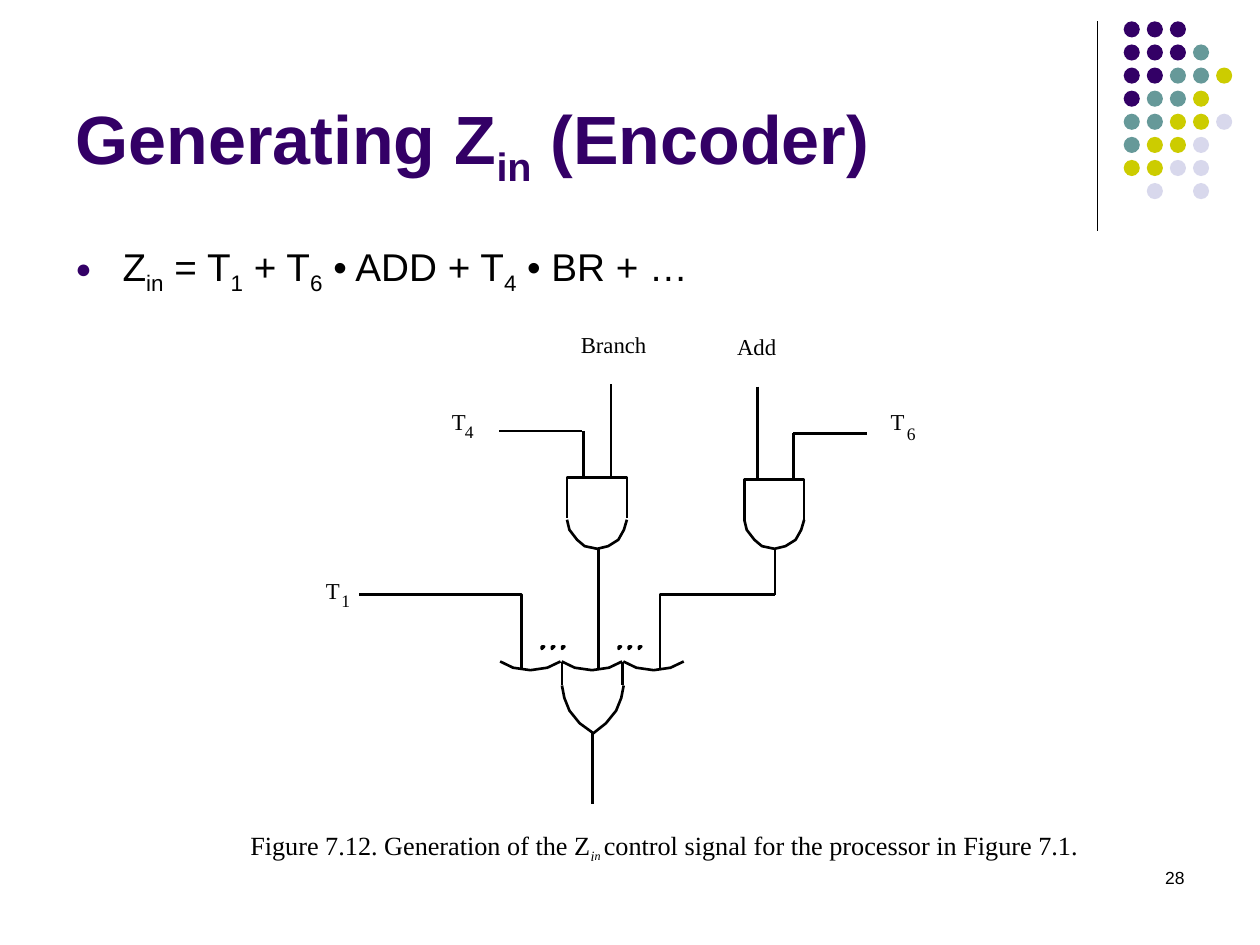
from dataclasses import dataclass

from lxml import etree
from pptx import Presentation
from pptx.dml.color import RGBColor
from pptx.enum import shapes, text
from pptx.oxml import ns
from pptx.util import Pt

INK = "000000"
PLUM = "330066"
TONES = {"P": PLUM, "T": "669999", "Y": "CCCC00", "L": "D8D8EC"}
DOTS = ["PPP", "PPPT", "PPTTY", "PTTY", "TTYYL", "TYYL", "YYLL", ".L.L"]
SERIF = "Times New Roman"
Point = tuple[float, float]


@dataclass
class Part:
    text: str
    low: bool = False
    size: float | None = None
    slant: bool = False


@dataclass
class Label:
    text: str
    left: float
    top: float
    width: float
    size: float = 13


LABELS = [
    Label("Branch", 331.9, 188.8, 42),
    Label("Add", 421.2, 190.1, 26),
    Label("T", 186.2, 329.8, 9),
    Label("1", 195.1, 337, 6, 10),
    Label("T", 258.2, 232.8, 9),
    Label("4", 265.7, 240.5, 6, 10),
    Label("T", 509, 232.8, 9),
    Label("6", 518.2, 241.9, 6, 10),
]

WIRES = [
    [(442.8, 339.8), (442.8, 313.9)],
    [(342, 383), (342, 313.9)],
    [(377.1, 383), (377.1, 339.8), (442.8, 339.8)],
    [(298.1, 383), (298.1, 339.8), (205.2, 339.8)],
    [(432.7, 221), (432.7, 274.3)],
    [(453.6, 274.3), (453.6, 247.7)],
    [(495.4, 247.7), (452.9, 247.7)],
    [(332.6, 246.2), (285.1, 246.2)],
    [(333.4, 246.2), (333.4, 272.9)],
    [(349.2, 272.9), (349.2, 219.6)],
    [(321.1, 378), (321.1, 391.7)],
    [(355.7, 378), (355.7, 391.7)],
    [(338.4, 459.4), (338.4, 419)],
]

BOWL = [(0, 0), (1.4, 5.8), (5.8, 11.5), (10.1, 15.1), (17.3, 16.6),
        (23.5, 15.1), (29.3, 11.5), (32.5, 5.8), (34.2, 0)]
SCOOP = [(0, 0), (7.4, 3.6), (17.3, 5), (27, 3.6), (34.5, 0)]
TIP = [(0, 0), (1.4, 7.2), (4.3, 14.4), (10.1, 21.6), (18, 27.3),
       (25.2, 21.6), (31, 14.4), (33.9, 7.2), (35.3, 0)]
SPECK = [(0, 0), (0, 1.4), (1.4, 0)]


def tint(code: str) -> RGBColor:
    return RGBColor.from_string(code)


def shift(points: list[Point], left: float, top: float) -> list[Point]:
    return [(left + x, top + y) for x, y in points]


def stroke(sheet, points: list[Point], width: float = 1.5, close: bool = False) -> None:
    spots = [(Pt(x), Pt(y)) for x, y in points]
    if len(spots) == 2:
        shape = sheet.shapes.add_connector(shapes.MSO_CONNECTOR.STRAIGHT, *spots[0], *spots[1])
    else:
        pen = sheet.shapes.build_freeform(*spots[0], scale=1.0)
        pen.add_line_segments(spots[1:], close=close)
        shape = pen.convert_to_shape()
        shape.fill.background()
    shape.line.color.rgb = tint(INK)
    shape.line.width = Pt(width)
    if len(spots) == 2:
        etree.SubElement(shape._element.spPr, ns.qn("a:effectLst"))
    else:
        shape.shadow.inherit = False


def dot(sheet, left: float, top: float, code: str) -> None:
    shape = sheet.shapes.add_shape(shapes.MSO_SHAPE.OVAL, Pt(left), Pt(top), Pt(9.2), Pt(9.2))
    shape.shadow.inherit = False
    shape.fill.solid()
    shape.fill.fore_color.rgb = tint(code)
    shape.line.fill.background()


def gate(sheet, left: float, top: float) -> None:
    stroke(sheet, shift([(0, 23), (0, 0), (34.2, 0), (34.2, 23)], left, top))
    stroke(sheet, shift(BOWL, left, 297))


def box(sheet, left: float, top: float, width: float, height: float,
        wrap: bool = False, pad: bool = False):
    frame = sheet.shapes.add_textbox(Pt(left), Pt(top), Pt(width), Pt(height)).text_frame
    frame.word_wrap = wrap
    if not pad:
        frame.margin_left = frame.margin_right = 0
        frame.margin_top = frame.margin_bottom = 0
    return frame


def write(para, parts: list[Part], face: str, size: float, code: str = INK) -> None:
    font = para.font
    font.name, font.size = face, Pt(size)
    font.color.rgb = tint(code)
    for part in parts:
        run = para.add_run()
        run.text = part.text
        if part.size:
            run.font.size = Pt(part.size)
        if part.slant:
            run.font.italic = True
        if part.low:
            run._r.get_or_add_rPr().set("baseline", "-25000")


def bullet(para) -> None:
    props = para._p.get_or_add_pPr()
    props.set("marL", str(Pt(27)))
    props.set("indent", str(-Pt(27)))
    hue = etree.SubElement(props, ns.qn("a:buClr"))
    etree.SubElement(hue, ns.qn("a:srgbClr"), val=PLUM)
    etree.SubElement(props, ns.qn("a:buSzPct"), val="70000")
    etree.SubElement(props, ns.qn("a:buFont"), typeface="Arial")
    etree.SubElement(props, ns.qn("a:buChar"), char="●")


def head(sheet) -> None:
    title = sheet.shapes.title
    title.left, title.top, title.width, title.height = Pt(36), Pt(9.8), Pt(594), Pt(102.2)
    frame = title.text_frame
    frame.auto_size = text.MSO_AUTO_SIZE.NONE
    frame.vertical_anchor = text.MSO_ANCHOR.BOTTOM
    para = frame.paragraphs[0]
    para.alignment = text.PP_ALIGN.LEFT
    write(para, [Part("Generating Z"), Part("in", True), Part(" (Encoder)")], "Arial", 39, PLUM)
    para.font.bold = True


def body(sheet) -> None:
    para = box(sheet, 36, 135.2, 648, 38.9, wrap=True, pad=True).paragraphs[0]
    bullet(para)
    words = ["Z", "in", " = T", "1", " + T", "6", " • ADD + T", "4", " • BR + …"]
    write(para, [Part(word, i % 2 == 1) for i, word in enumerate(words)], "Arial", 22.1)


def figure(sheet) -> None:
    for wire in WIRES:
        stroke(sheet, wire)
    gate(sheet, 324, 272.9)
    gate(sheet, 425.3, 274)
    for i in range(3):
        stroke(sheet, shift(SCOOP, 285.8 + 35.2 * i, 378))
    stroke(sheet, shift(TIP, 321.1, 391.7))
    for left in (309.6, 353.5):
        for i in range(3):
            stroke(sheet, shift(SPECK, left + 5.8 * i, 369.4), close=True)
    for label in LABELS:
        frame = box(sheet, label.left, label.top, label.width, label.size * 1.2)
        write(frame.paragraphs[0], [Part(label.text)], SERIF, label.size)
    note = box(sheet, 143, 473.8, 480, 38.2)
    write(note.paragraphs[0], [
        Part("Figure 7.12. Generation of the Z"),
        Part("i", True, 14, True),
        Part("n ", True, 12, True),
        Part("control signal for the processor in Figure 7.1."),
    ], SERIF, 15)


def main() -> None:
    deck = Presentation()
    deck.slide_width, deck.slide_height = Pt(720), Pt(540)
    sheet = deck.slides.add_slide(deck.slide_layouts[5])
    stroke(sheet, [(627.1, 12.2), (627.1, 131.8)], 0.75)
    for row, marks in enumerate(DOTS):
        for col, mark in enumerate(marks):
            if mark in TONES:
                dot(sheet, 642.1 + 13.2 * col, 12.2 + 13.2 * row, TONES[mark])
    head(sheet)
    body(sheet)
    figure(sheet)
    para = box(sheet, 516.2, 491.8, 167.8, 36, wrap=True, pad=True).paragraphs[0]
    para.alignment = text.PP_ALIGN.RIGHT
    write(para, [Part("28")], "Arial", 10)
    deck.save("out.pptx")


if __name__ == "__main__":
    main()
